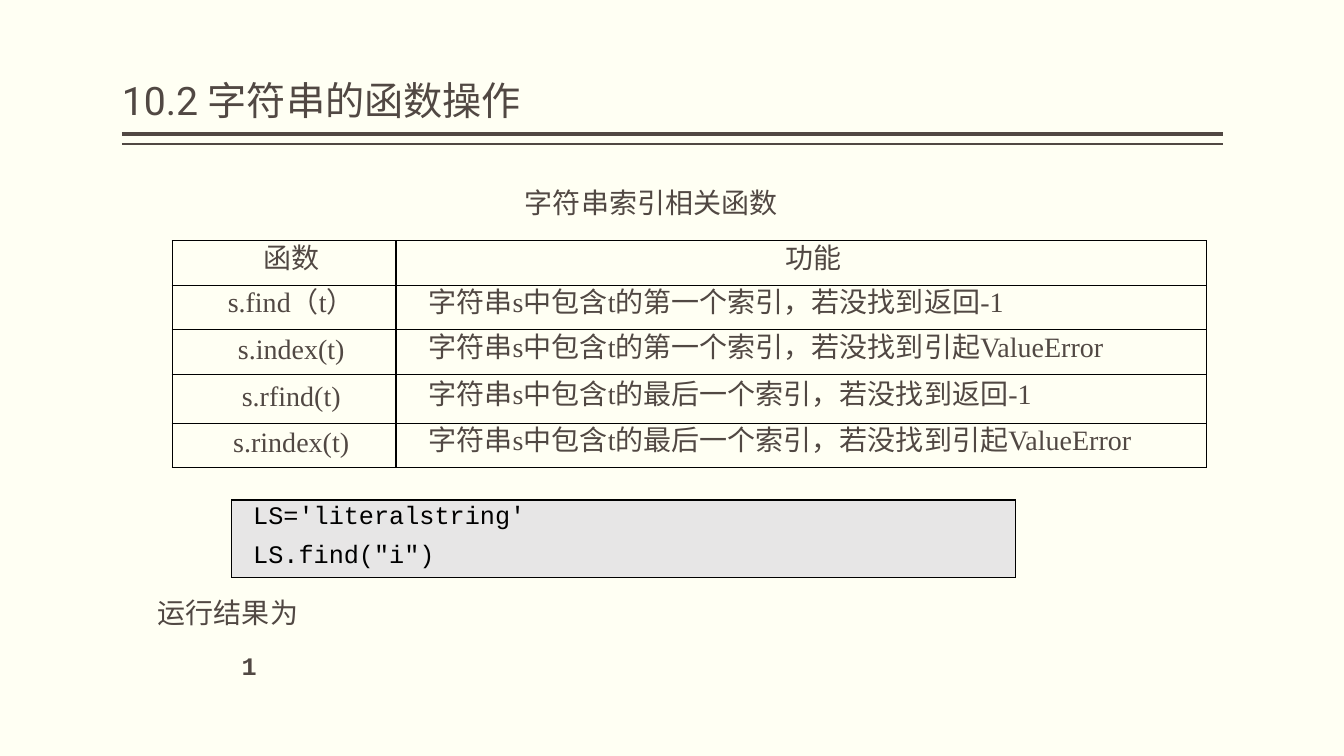
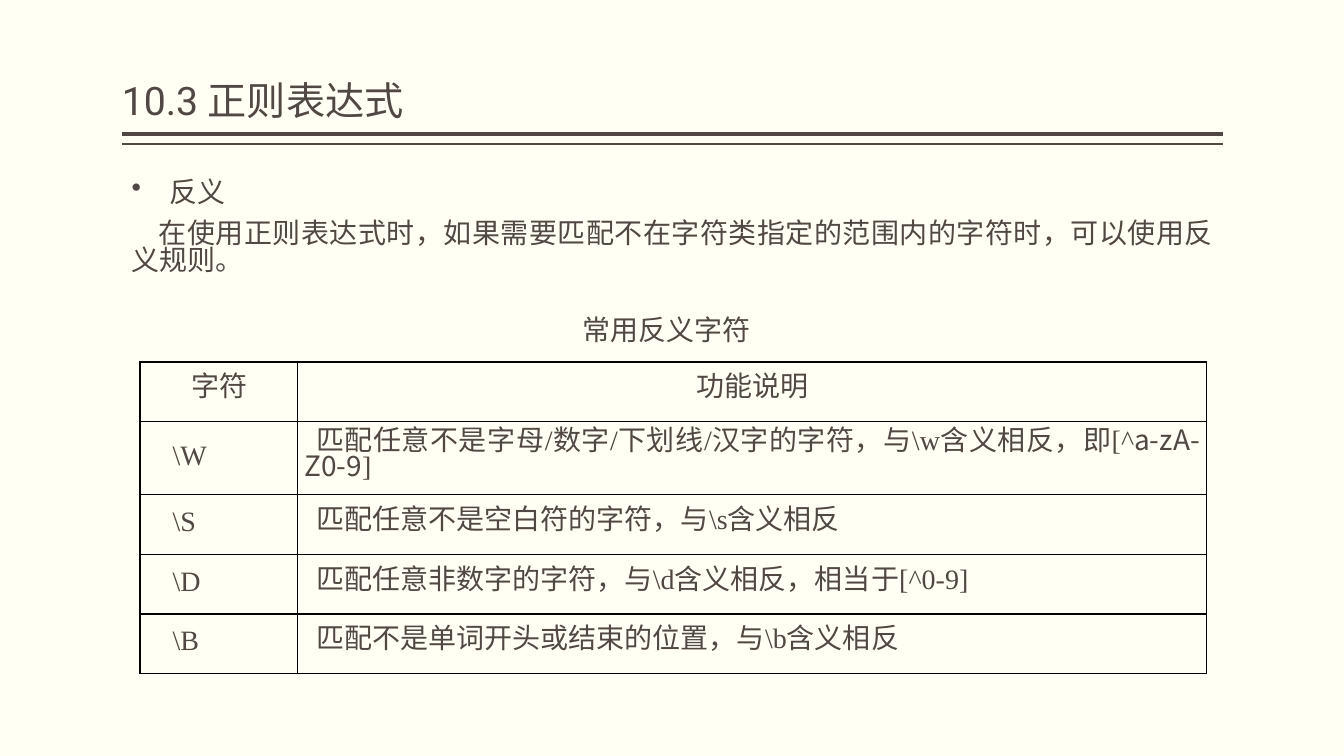
from lxml import etree
from pptx import Presentation
from pptx.dml.color import RGBColor
from pptx.enum import shapes, text
from pptx.oxml import ns
from pptx.util import Cm, Pt

INK, PAPER, BLACK, CODE_FILL = "514843", "FFFFF3", "000000", "E7E6E6"
SANS, SERIF, MONO, TITLE_FONT = "Noto Sans CJK SC", "Times New Roman", "Courier New", "Roboto"
LEFT, WIDTH = 3.07, 27.74
PLAIN_TABLE = "{2D5ABB26-0587-4C30-8999-92F81FD0307C}"
ALIGN = text.PP_ALIGN


def color(value):
    """Return the colour for a hex string."""
    return RGBColor.from_string(value)


def add_child(parent, tag, **attributes):
    """Append a drawing element and return it."""
    return etree.SubElement(parent, ns.qn(tag), attributes)


def style_para(para, spans, size=20, font=SANS, ink=INK, bold=False, align=ALIGN.LEFT,
               margin=0, indent=0, spacing=None, before=0, bullet=None):
    """Fill a paragraph from a string or from (text, font) pairs."""
    for words, own_font in [(spans, None)] if isinstance(spans, str) else spans:
        span = para.add_run()
        span.text = words
        if own_font:
            span.font.name = own_font
    para.alignment = align
    para.space_before = Pt(before)
    if spacing:
        para.line_spacing = spacing
    para.font.size, para.font.name, para.font.bold = Pt(size), font, bold
    para.font.color.rgb = color(ink)
    properties = para._p.get_or_add_pPr()
    properties.set("marL", str(Cm(margin)))
    properties.set("indent", str(Cm(indent)))
    defaults = properties.find(ns.qn("a:defRPr"))
    add_child(defaults, "a:ea", typeface=SANS)
    if bullet:
        mark = add_child(properties, "a:buChar", char=bullet)
        defaults.addprevious(mark)


def add_text(page, left, top, width, height, paras, side=0.25, anchor=text.MSO_ANCHOR.TOP):
    """Add a text box of (spans, style) paragraphs."""
    frame = page.shapes.add_textbox(Cm(left), Cm(top), Cm(width), Cm(height)).text_frame
    frame.word_wrap, frame.vertical_anchor = True, anchor
    frame.margin_left = frame.margin_right = Cm(side)
    for index, (spans, style) in enumerate(paras):
        para = frame.add_paragraph() if index else frame.paragraphs[0]
        style_para(para, spans, **style)


def add_rule(page, top, weight):
    """Add a horizontal rule under the title."""
    rule = page.shapes.add_connector(
        shapes.MSO_CONNECTOR.STRAIGHT, Cm(LEFT), Cm(top), Cm(LEFT + WIDTH), Cm(top))
    rule.line.color.rgb, rule.line.width = color(INK), Pt(weight)
    add_child(rule._element.spPr, "a:effectLst")


def add_page(deck, title):
    """Add a page with background, title and double rule."""
    page = deck.slides.add_slide(deck.slide_layouts[6])
    page.background.fill.solid()
    page.background.fill.fore_color.rgb = color(PAPER)
    add_rule(page, 3.38, 3)
    add_rule(page, 3.63, 1)
    add_text(page, LEFT, 0.2, WIDTH, 3.05,
             [(title, dict(size=28, font=TITLE_FONT, spacing=0.9))],
             side=0, anchor=text.MSO_ANCHOR.BOTTOM)
    return page


def add_borders(cell, sides):
    """Draw thin black borders on the named sides."""
    for side in sides:
        line = add_child(cell._tc.get_or_add_tcPr(), f"a:ln{side}", w=str(Pt(1)))
        add_child(add_child(line, "a:solidFill"), "a:srgbClr", val=BLACK)


def add_grid(page, left, top, widths, heights, rows, style_of, fill=None, inner=True):
    """Add a table whose cell styles come from style_of(row, column)."""
    table = page.shapes.add_table(len(rows), len(widths), Cm(left), Cm(top),
                                  Cm(sum(widths)), Cm(sum(heights))).table
    table.first_row = table.horz_banding = False
    table._tbl.tblPr.find(ns.qn("a:tableStyleId")).text = PLAIN_TABLE
    for column, width in zip(table.columns, widths):
        column.width = Cm(width)
    for r, (height, row) in enumerate(zip(heights, rows)):
        table.rows[r].height = Cm(height)
        for c, spans in enumerate(row):
            cell = table.cell(r, c)
            cell.vertical_anchor = text.MSO_ANCHOR.MIDDLE
            cell.margin_left = cell.margin_right = Cm(0.18)
            cell.margin_top = cell.margin_bottom = 0
            top_side = "T" if inner or r == 0 else ""
            bottom_side = "B" if inner or r == len(rows) - 1 else ""
            add_borders(cell, "LR" + top_side + bottom_side)
            if fill:
                cell.fill.solid()
                cell.fill.fore_color.rgb = color(fill)
            else:
                cell.fill.background()
            style = dict(font=SERIF, spacing=Pt(19)) | style_of(r, c)
            style_para(cell.text_frame.paragraphs[0], spans, **style)


def index_style(row, column):
    """Style the index function table."""
    centred = row == 0 or column == 0
    return dict(align=ALIGN.CENTER if centred else ALIGN.LEFT, indent=(0.36, 0.64)[column])


def code_style(row, column):
    """Style the lines of code."""
    return dict(size=18, font=MONO, ink=BLACK, align=ALIGN.JUSTIFY, indent=0.36)


def negation_style(row, column):
    """Style the negated character table."""
    if row == 0:
        return dict(align=ALIGN.CENTER, indent=0.05)
    return dict(align=ALIGN.JUSTIFY, indent=(0.64, 0.3)[column])


def build_functions(deck):
    """Build the page on string functions."""
    page = add_page(deck, "10.2 字符串的函数操作")
    add_text(page, 12.98, 4.55, 7.92, 1.12, [("字符串索引相关函数", {})])
    add_grid(page, 4.34, 6.07, [5.64, 20.42], [1.12, 1.12, 1.12, 1.24, 1.12], [
        ("函数", "功能"),
        ("s.find（t）", "字符串s中包含t的第一个索引，若没找到返回-1"),
        ("s.index(t)", "字符串s中包含t的第一个索引，若没找到引起ValueError"),
        ("s.rfind(t)", "字符串s中包含t的最后一个索引，若没找到返回-1"),
        ("s.rindex(t)", "字符串s中包含t的最后一个索引，若没找到引起ValueError"),
    ], index_style)
    add_grid(page, 5.84, 12.6, [19.76], [0.97, 0.99],
             [("LS='literalstring'",), ('LS.find("i")',)],
             code_style, fill=CODE_FILL, inner=False)
    add_text(page, 3.73, 14.88, 5.21, 1.12, [("运行结果为", {})])
    add_text(page, 5.84, 16.26, 7.06, 1.8, [("1", dict(size=18, font=MONO, bold=True))])


def build_negation(deck):
    """Build the page on negated character classes."""
    page = add_page(deck, "10.3 正则表达式")
    body = dict(align=ALIGN.JUSTIFY, spacing=0.81, before=10)
    add_text(page, LEFT, 4.42, WIDTH, 3.18, [
        ("反义", body | dict(margin=0.96, indent=-0.96, bullet="•")),
        ("在使用正则表达式时，如果需要匹配不在字符类指定的范围内的字符时，可以使用反义规则。",
         body | dict(indent=0.68)),
    ])
    add_text(page, 14.43, 7.75, 5, 1.12, [("常用反义字符", {})])
    add_grid(page, 3.53, 9.12, [3.96, 22.91], [1.5, 1.85, 1.5, 1.5, 1.5], [
        ("字符", "功能说明"),
        ("\\W", [("匹配任意不是字母/数字/下划线/汉字的字符，与\\w含义相反，即[^", None),
                 ("a-zA-Z0-9", SANS), ("]", None)]),
        ("\\S", "匹配任意不是空白符的字符，与\\s含义相反"),
        ("\\D", "匹配任意非数字的字符，与\\d含义相反，相当于[^0-9]"),
        ("\\B", "匹配不是单词开头或结束的位置，与\\b含义相反"),
    ], negation_style)


def main():
    """Build and save the deck."""
    deck = Presentation()
    deck.slide_width, deck.slide_height = Cm(33.87), Cm(19.05)
    build_functions(deck)
    build_negation(deck)
    deck.save("out.pptx")


if __name__ == "__main__":
    main()
